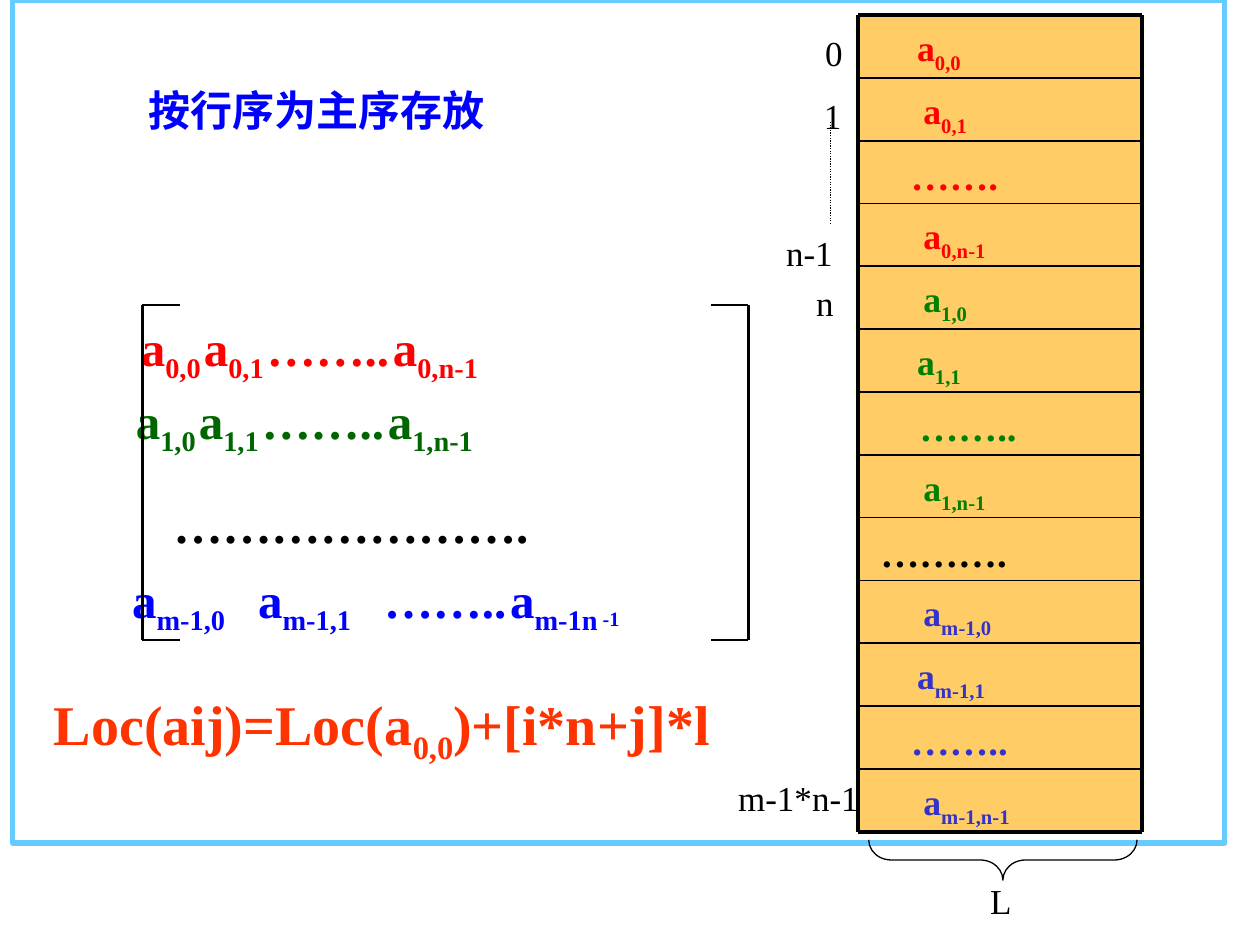
import pptx
import pptx.dml.color
import pptx.enum.dml
import pptx.enum.shapes
import pptx.enum.text
import pptx.oxml.ns
import pptx.util
from lxml import etree

SLIDE_W, SLIDE_H = 10, 7.5
FACE = "Times New Roman"
BLACK, RED, GREEN, VIOLET = "000000", "FF0000", "008000", "3333CC"
STACK_FILL, FRAME_BLUE = "FFCC66", "66CCFF"

# An underscore switches between normal text and subscript.
MEMORY = [
    ("a_0,0", RED, 0.37), ("a_0,1", RED, 0.42), ("…….", RED, 0.32), ("a_0,n-1", RED, 0.42),
    ("a_1,0", GREEN, 0.42), ("a_1,1", GREEN, 0.37), ("……..", GREEN, 0.39), ("a_1,n-1", GREEN, 0.42),
    ("……….", BLACK, 0.08),
    ("a_m-1,0", VIOLET, 0.42), ("a_m-1,1", VIOLET, 0.37), ("……..", VIOLET, 0.32), ("a_m-1,n-1", VIOLET, 0.42),
]
ADDRESSES = [
    ("0", 6.45, 0.17, 0.34), ("1", 6.44, 0.67, 0.34), ("n-1", 6.14, 1.75, 0.57),
    ("n", 6.38, 2.15, 0.34), ("m-1*n-1", 5.76, 6.08, 1.16),
]
MATRIX = [
    ("a_0,0_\ta_0,1_\t……..\ta_0,n-1", RED, 2.42, 5.63, 0.63, (1.02, 1.77, 2.44, 3.77)),
    ("a_1,0_\ta_1,1_\t……..\ta_1,n-1", "006600", 3, 6.14, 0.63, (0.98, 1.73, 2.4, 3.73)),
    ("………………….", BLACK, 3.83, 5.73, 0.57, (1.28,)),
    ("a_m-1,0_\ta_m-1,1_\t……..\ta_m-1n", "0000FF", 4.42, 6.96, 0.63, (0.95, 1.91, 2.84, 4.08)),
]
STACK_X, STACK_Y, STACK_W, CELL_H = 6.81, 0.12, 2.25, 0.4985
BRACKET_TOP, BRACKET_BOTTOM, BRACKET_ARM = 2.42, 5.08, 0.3
BRACKETS = [(1.13, 1), (5.94, -1)]

inch = pptx.util.Inches
shapes_kind = pptx.enum.shapes.MSO_SHAPE

deck = pptx.Presentation()
deck.slide_width, deck.slide_height = inch(SLIDE_W), inch(SLIDE_H)
slide = deck.slides.add_slide(deck.slide_layouts[6])


def colour(value):
    return pptx.dml.color.RGBColor.from_string(value)


def preset(kind, x, y, w, h, fill=None, line=None, weight=1):
    shape = slide.shapes.add_shape(kind, inch(x), inch(y), inch(w), inch(h))
    shape.shadow.inherit = False
    if fill:
        shape.fill.solid()
        shape.fill.fore_color.rgb = colour(fill)
    else:
        shape.fill.background()
    if line:
        shape.line.color.rgb = colour(line)
        shape.line.width = pptx.util.Pt(weight)
    else:
        shape.line.fill.background()
    return shape


def rule(x1, y1, x2, y2, weight):
    line = slide.shapes.add_connector(
        pptx.enum.shapes.MSO_CONNECTOR.STRAIGHT, inch(x1), inch(y1), inch(x2), inch(y2))
    line.line.color.rgb = colour(BLACK)
    line.line.width = pptx.util.Pt(weight)
    etree.SubElement(line._element.spPr, pptx.oxml.ns.qn("a:effectLst"))
    return line


def write(shape, text, size, ink=BLACK, bold=False, stops=(0,), wrap=True):
    frame = shape.text_frame
    frame.word_wrap = wrap
    frame.vertical_anchor = pptx.enum.text.MSO_ANCHOR.TOP
    frame.margin_top = inch(0.05 + size * 0.0017)
    paragraph = frame.paragraphs[0]
    paragraph.alignment = pptx.enum.text.PP_ALIGN.LEFT
    properties = paragraph._p.get_or_add_pPr()
    properties.set("marL", str(inch(stops[0])))
    properties.set("indent", "0")
    if stops[1:]:
        tabs = etree.SubElement(properties, pptx.oxml.ns.qn("a:tabLst"))
        for stop in stops[1:]:
            etree.SubElement(tabs, pptx.oxml.ns.qn("a:tab"), pos=str(inch(stop)), algn="l")
    paragraph.font.name = FACE
    paragraph.font.size = pptx.util.Pt(size)
    paragraph.font.bold = bold
    paragraph.font.color.rgb = colour(ink)
    for index, part in enumerate(text.split("_")):
        add_run(paragraph, part, index % 2)
    return paragraph


def add_run(paragraph, text, subscript):
    run = paragraph.add_run()
    run.text = text
    if subscript:
        run._r.get_or_add_rPr().set("baseline", "-25000")
    return run


def label(text, x, y, w, h, size, **style):
    box = slide.shapes.add_textbox(inch(x), inch(y), inch(w), inch(h))
    return write(box, text, size, **style)


preset(shapes_kind.RECTANGLE, 0.1, 0, 9.62, 6.69, "FFFFFF", FRAME_BLUE, 3)
label("按行序为主序存放", 0.92, 0.58, 3.79, 0.5, 24, ink="0000FF", bold=True, stops=(0.16,))

for address, x, y, w in ADDRESSES:
    label(address, x, y, w, 0.44, 20, wrap=False)
rule(6.59, 0.97, 6.59, 1.78, 0.75).line.dash_style = pptx.enum.dml.MSO_LINE.ROUND_DOT

for row, (element, ink, indent) in enumerate(MEMORY):
    cell = preset(shapes_kind.RECTANGLE, STACK_X, STACK_Y + row * CELL_H, STACK_W, CELL_H, STACK_FILL)
    write(cell, element, 20.4 if "a" in element else 22.2, ink, True, (indent,))

stack_right, stack_bottom = STACK_X + STACK_W, STACK_Y + len(MEMORY) * CELL_H
for row in range(len(MEMORY) + 1):
    y = STACK_Y + row * CELL_H
    rule(STACK_X, y, stack_right, y, 2.25 if row in (0, len(MEMORY)) else 1)
for x in (STACK_X, stack_right):
    rule(x, STACK_Y, x, stack_bottom, 2.25)

for elements, ink, y, w, h, stops in MATRIX:
    matrix_row = label(elements, 0, y, w, h, 28, ink=ink, bold=True, stops=stops)
add_run(matrix_row, " -1", True).font.size = pptx.util.Pt(20)

for x, direction in BRACKETS:
    rule(x, BRACKET_TOP, x, BRACKET_BOTTOM, 1.5)
    for y in (BRACKET_TOP, BRACKET_BOTTOM):
        rule(x, y, x + direction * BRACKET_ARM, y, 1.5)

label("Loc(aij)=Loc(a_0,0_)+[i*n+j]*l", 0.33, 5.37, 6.76, 0.71, 32, ink="FF3300", bold=True)
label("L", 7.76, 6.9, 0.31, 0.44, 20)
brace = preset(shapes_kind.LEFT_BRACE, 7.8, 5.76, 0.32, 2.13, line=BLACK, weight=0.75)
brace.rotation = 270
brace.adjustments[0] = 0.56

deck.save("out.pptx")
